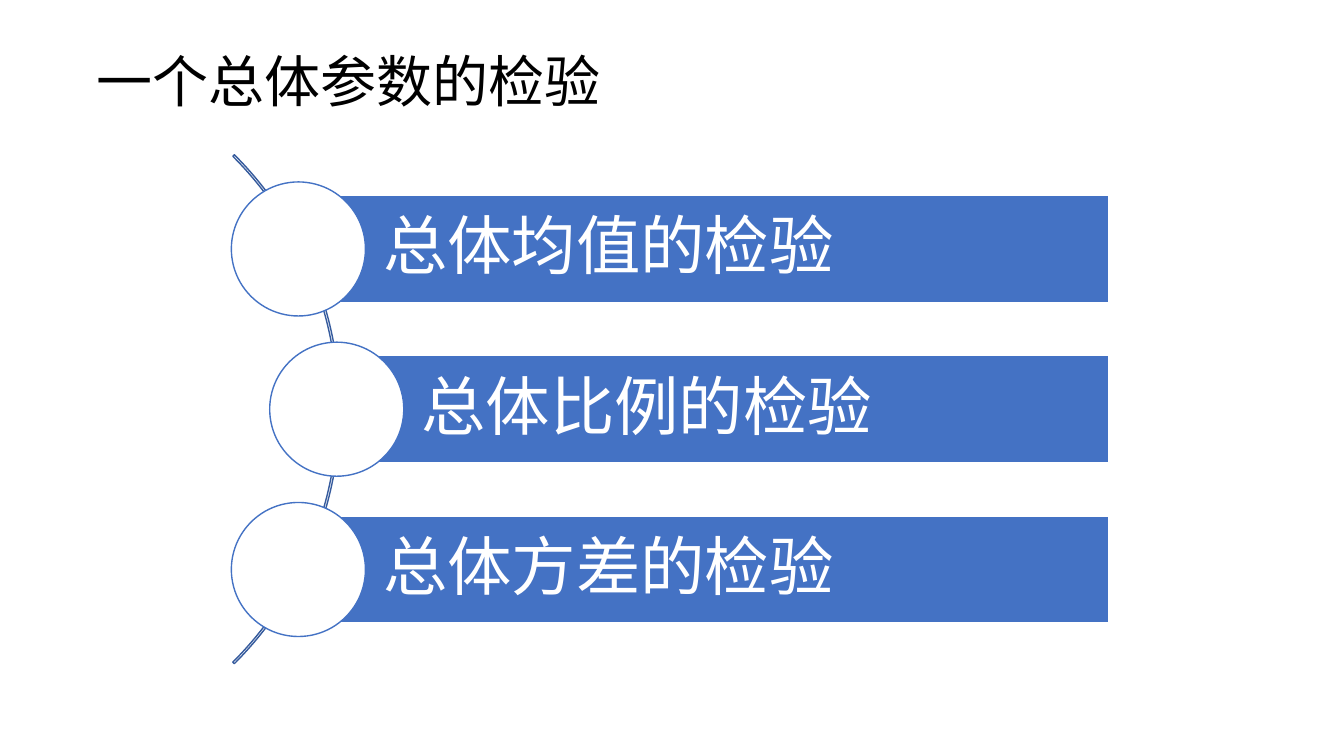
from pptx import Presentation
from pptx.dml.color import RGBColor
from pptx.enum.shapes import MSO_SHAPE as Kind
from pptx.enum.text import MSO_ANCHOR as Anchor, PP_ALIGN as Align
from pptx.oxml.ns import qn
from pptx.util import Inches, Pt
from lxml.etree import SubElement

# Content
TITLE = "一个总体参数的检验"
ITEMS = ["总体均值的检验", "总体比例的检验", "总体方差的检验"]
FONT = "Noto Sans CJK SC"
BLUE, DARK, WHITE, BLACK = "4472C4", "365B9D", "FFFFFF", "000000"

# Layout in inches
WIDE, HIGH = 13.33, 7.5
MID, STEP = 4.06, 1.59      # centre of the middle row, row pitch
BAR, DOT = 1.06, 1.33       # bar height, circle diameter
RIGHT = 11.0                # shared right edge of the bars
AXIS, SHIFT = 3.34, 0.38    # middle circle's centre, inset of the outer rows
ARC = 7.14                  # arc diameter


def color(code):
    return RGBColor.from_string(code)


def add(kind, x, y, w, h, fill, line):
    shape = slide.shapes.add_shape(kind, *map(Inches, (x, y, w, h)))
    shape.shadow.inherit = False
    if fill:
        shape.fill.solid()
        shape.fill.fore_color.rgb = color(fill)
    else:
        shape.fill.background()
    shape.line.color.rgb = color(line)
    shape.line.width = Pt(1)
    return shape


def write(shape, text, size, tone):
    frame = shape.text_frame
    frame.word_wrap = True
    frame.vertical_anchor = Anchor.MIDDLE
    frame.text = text
    para = frame.paragraphs[0]
    para.alignment = Align.LEFT
    para.line_spacing = 0.9
    font = para.font
    font.size, font.name = Pt(size), FONT
    font.color.rgb = color(tone)
    # East Asian typeface
    props = para._p.pPr.find(qn("a:defRPr"))
    SubElement(props, qn("a:ea")).set("typeface", FONT)
    return frame


deck = Presentation()
deck.slide_width, deck.slide_height = Inches(WIDE), Inches(HIGH)
slide = deck.slides.add_slide(deck.slide_layouts[5])

# Title
title = slide.shapes.title
title.left, title.top, title.width, title.height = map(
    Inches, (0.86, 0.45, 10.21, 0.77))
write(title, TITLE, 40, BLACK)

# Arc behind the rows
arc = add(Kind.BLOCK_ARC, AXIS + 0.03 - ARC, MID - ARC / 2, ARC, ARC,
          None, DARK)
for i, value in enumerate((189, 27, 0.003)):
    arc.adjustments[i] = value

# Bars with a circle at each left end
for i, item in enumerate(ITEMS):
    row = i - len(ITEMS) // 2
    x, y = AXIS - SHIFT * abs(row), MID + STEP * row
    bar = add(Kind.RECTANGLE, x, y - BAR / 2, RIGHT - x, BAR, BLUE, WHITE)
    frame = write(bar, item, 46, WHITE)
    frame.margin_left = Inches(0.84)
    frame.margin_right = frame.margin_top = frame.margin_bottom = Inches(0.13)
    add(Kind.OVAL, x - DOT / 2, y - DOT / 2, DOT, DOT, WHITE, BLUE)

deck.save("out.pptx")
